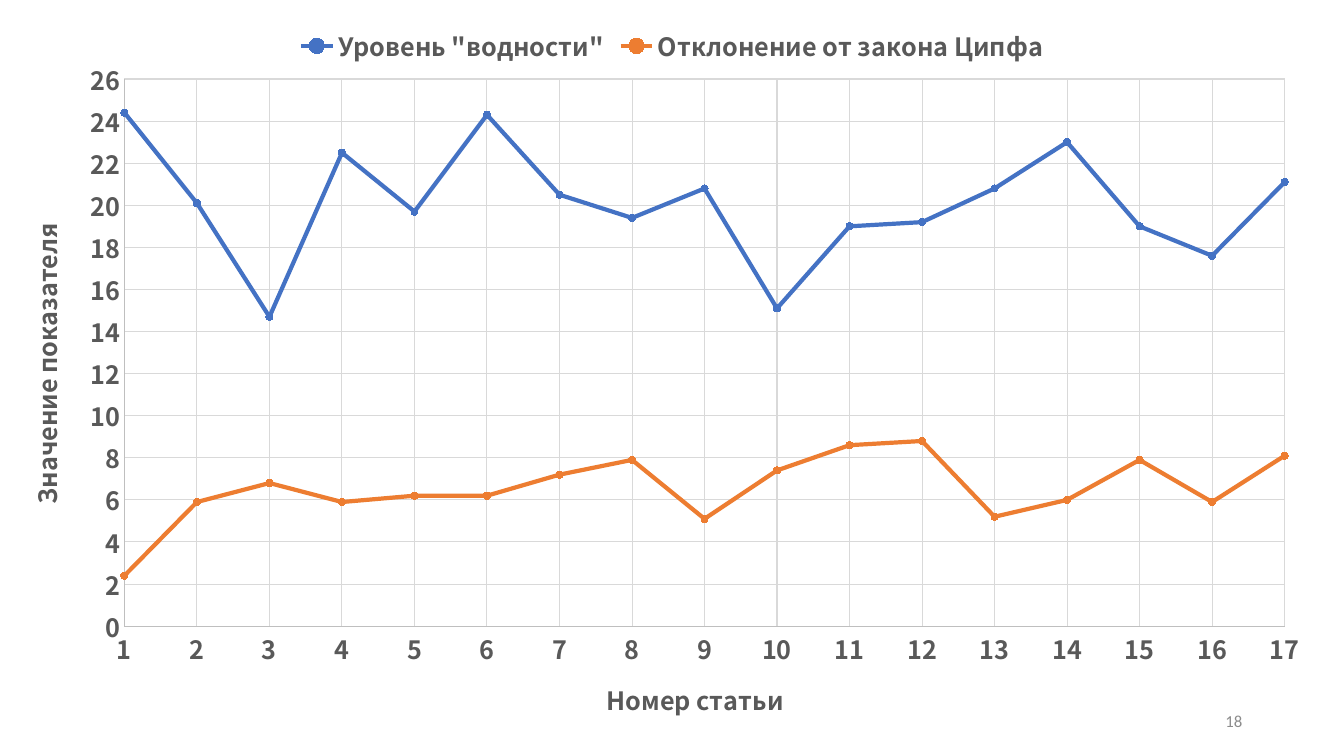
from dataclasses import dataclass

from lxml import etree
from pptx import Presentation, util as u
from pptx.chart.data import XyChartData
from pptx.dml.color import RGBColor
from pptx.enum import chart as ch, text
from pptx.oxml.ns import qn


@dataclass(frozen=True)
class Theme:
    chart_font: str = "Noto Sans CJK SC"
    number_font: str = "Calibri"
    chart_size: int = 18
    number_size: int = 12
    label: str = "595959"
    number: str = "8C8C8C"
    grid: str = "D9D9D9"
    axis: str = "BFBFBF"
    series: tuple = ("4472C4", "ED7D31")
    thin: float = 0.75
    thick: float = 3
    marker: int = 5


class SlideBuilder:
    def __init__(self, prs, theme):
        self.prs, self.theme = prs, theme
        self.s = prs.slides.add_slide(prs.slide_layouts[6])

    def box(self, x, y, w, h):
        width, height = self.prs.slide_width, self.prs.slide_height
        return [round(v) for v in (x * width, y * height, w * width, h * height)]

    def font(self, font, name, size, color, bold=False):
        font.name, font.size, font.bold = name, u.Pt(size), bold
        font.color.rgb = RGBColor.from_string(color)

    def chart_text(self, font):
        t = self.theme
        self.font(font, t.chart_font, t.chart_size, t.label, True)

    def line(self, line, color, width):
        line.color.rgb = RGBColor.from_string(color)
        line.width = u.Pt(width)

    def page_number(self, number, *share):
        t = self.theme
        tf = self.s.shapes.add_textbox(*self.box(*share)).text_frame
        tf.word_wrap = True
        tf.vertical_anchor = text.MSO_ANCHOR.MIDDLE
        p = tf.paragraphs[0]
        p.text = number
        p.alignment = text.PP_ALIGN.RIGHT
        self.font(p.runs[0].font, t.number_font, t.number_size, t.number)

    def axis(self, axis, title, low, high, step):
        t = self.theme
        axis.minimum_scale, axis.maximum_scale, axis.major_unit = low, high, step
        axis.major_tick_mark = axis.minor_tick_mark = ch.XL_TICK_MARK.NONE
        axis.has_major_gridlines = True
        self.line(axis.major_gridlines.format.line, t.grid, t.thin)
        self.line(axis.format.line, t.axis, t.thin)
        self.chart_text(axis.tick_labels.font)
        axis.tick_labels.number_format = "General"
        axis.tick_labels.number_format_is_linked = False
        p = axis.axis_title.text_frame.paragraphs[0]
        p.text = title
        self.chart_text(p.runs[0].font)

    def plot_layout(self, chart, x, y, w, h):
        area = chart.element.find(".//" + qn("c:plotArea"))
        for old in area.findall(qn("c:layout")):
            area.remove(old)
        layout = etree.Element(qn("c:layout"))
        area.insert(0, layout)
        manual = etree.SubElement(layout, qn("c:manualLayout"))
        settings = dict(layoutTarget="inner", xMode="edge", yMode="edge", x=x, y=y, w=w, h=h)
        for tag, value in settings.items():
            etree.SubElement(manual, qn(f"c:{tag}")).set("val", str(value))

    def scatter(self, series, axes, plot_share, *share):
        t = self.theme
        data = XyChartData()
        for name, values in series.items():
            points = data.add_series(name)
            for x, y in enumerate(values, 1):
                points.add_data_point(x, y)
        frame = self.s.shapes.add_chart(
            ch.XL_CHART_TYPE.XY_SCATTER_LINES, *self.box(*share), data)
        chart = frame.chart
        chart.has_title = False
        self.chart_text(chart.font)
        chart.has_legend = True
        chart.legend.position = ch.XL_LEGEND_POSITION.TOP
        chart.legend.include_in_layout = False
        self.chart_text(chart.legend.font)
        for axis, options in zip((chart.category_axis, chart.value_axis), axes):
            self.axis(axis, *options)
        plot = chart.plots[0]
        plot.vary_by_categories = False
        for ser, color in zip(plot.series, t.series):
            self.line(ser.format.line, color, t.thick)
            ser.marker.style = ch.XL_MARKER_STYLE.CIRCLE
            ser.marker.size = t.marker
            ser.marker.format.fill.solid()
            ser.marker.format.fill.fore_color.rgb = RGBColor.from_string(color)
            self.line(ser.marker.format.line, color, t.thin)
        self.plot_layout(chart, *plot_share)


SERIES = {
    'Уровень "водности"': (
        24.4, 20.1, 14.7, 22.5, 19.7, 24.3, 20.5, 19.4, 20.8,
        15.1, 19, 19.2, 20.8, 23, 19, 17.6, 21.1),
    "Отклонение от закона Ципфа": (
        2.4, 5.9, 6.8, 5.9, 6.2, 6.2, 7.2, 7.9, 5.1,
        7.4, 8.6, 8.8, 5.2, 6, 7.9, 5.9, 8.1),
}
AXES = (("Номер статьи", 1, 17, 1), ("Значение показателя", 0, 26, 2))


def main():
    prs = Presentation()
    prs.slide_width, prs.slide_height = u.Inches(13.33), u.Inches(7.5)
    slide = SlideBuilder(prs, Theme())
    slide.page_number("18", 9.42 / 13.33, 6.95 / 7.5, 3 / 13.33, 0.4 / 7.5)
    slide.scatter(SERIES, AXES, (0.08, 0.09, 0.89, 0.77),
                  0.2 / 13.33, 0.02, 0.97, 0.94)
    prs.save("out.pptx")


if __name__ == "__main__":
    main()
